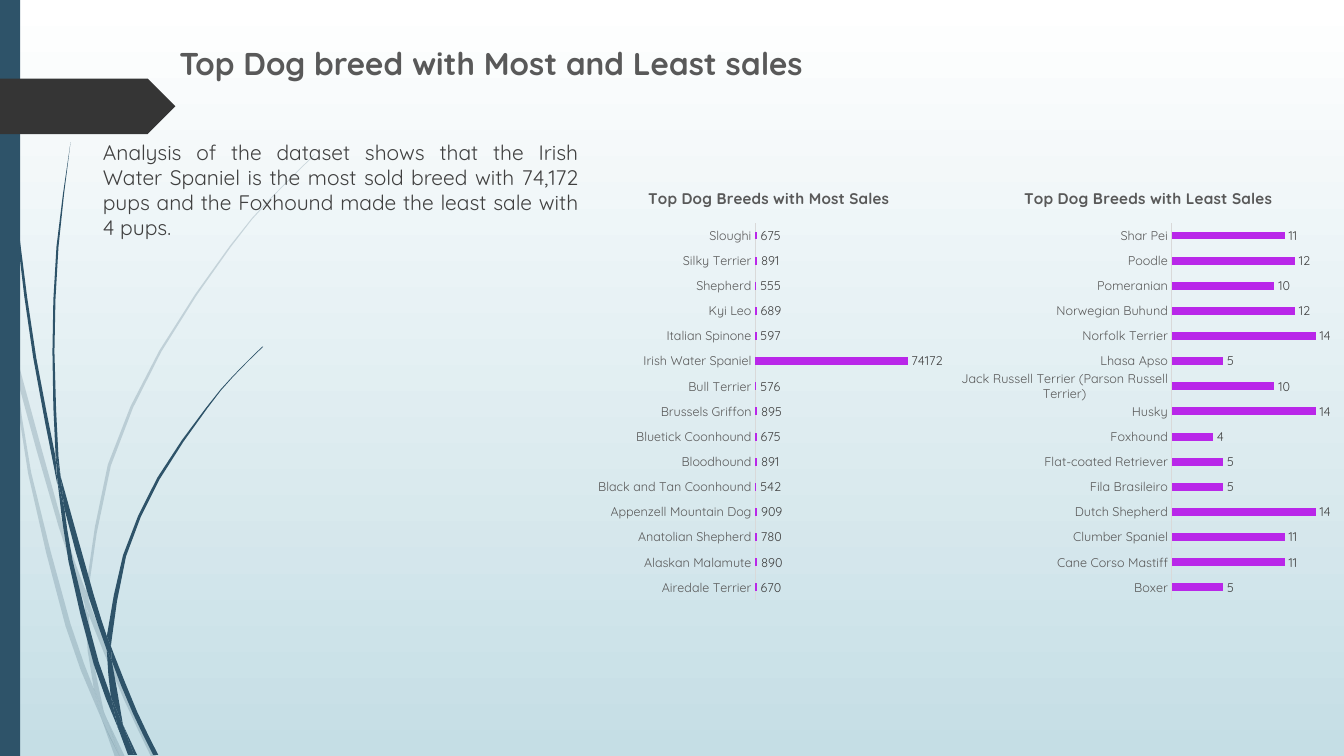
from math import dist

from lxml import etree
from pptx import Presentation
from pptx.chart.data import CategoryChartData
from pptx.dml.color import RGBColor
from pptx.enum.chart import XL_CHART_TYPE, XL_LABEL_POSITION, XL_TICK_MARK
from pptx.enum.shapes import MSO_SHAPE
from pptx.enum.text import MSO_ANCHOR, MSO_AUTO_SIZE, PP_ALIGN
from pptx.oxml.ns import qn
from pptx.util import Inches, Pt

BAR_CHART = XL_CHART_TYPE.BAR_CLUSTERED
OUTSIDE_END = XL_LABEL_POSITION.OUTSIDE_END
NO_TICK = XL_TICK_MARK.NONE
FONT = "Quicksand"
COLORS = {
    "sky_top": "FFFFFF", "sky_bottom": "C5DEE5", "grass": "2E5369",
    "tag": "353535", "heading": "595959", "text": "404040",
    "axis": "D9D9D9", "bar": "B927E9",
}
LONG = 0.4  # inches; longer edge segments are bent at their middle

# Each blade is a left and a right edge, both listed from the top down.
PALE_BLADES = [
    ([(0, 2.82), (0, 2.99), (0.1, 3.44), (0.11, 3.5)], [(0, 2.82), (0.09, 3.22), (0.11, 3.5)]),
    ([(0.14, 3.45), (0.17, 3.76), (0.58, 5.22), (0.84, 5.99)], [(0.14, 3.45), (0.62, 5.2), (0.85, 5.86)]),
    ([(0.88, 5.96), (0.88, 6.1), (1.23, 6.94), (1.5, 7.51)],
     [(0.88, 5.96), (0.92, 6.07), (1.27, 6.92), (1.55, 7.51)]),
    ([(1.05, 7.11), (1.19, 7.51)], [(1.05, 7.11), (1.24, 7.51)]),
    ([(0.11, 3.5), (0.28, 4.7), (0.65, 6.21), (0.92, 6.93), (1.01, 7.14)],
     [(0.11, 3.5), (0.17, 3.76), (0.31, 4.69), (0.7, 6.19), (0.93, 6.83), (1.01, 7.14)]),
    ([(0.84, 5.99), (0.87, 6.46), (0.93, 6.83), (1.05, 7.11)],
     [(0.84, 5.99), (0.88, 6.1), (0.91, 6.46), (1.03, 7.06), (1.05, 7.11)]),
    ([(3.12, 1.53), (2.68, 1.97), (2.28, 2.44), (1.58, 3.48), (1.07, 4.61), (0.85, 5.86)],
     [(3.12, 1.54), (2.68, 1.98), (2.29, 2.45), (1.6, 3.49), (1.1, 4.62), (0.88, 5.84), (0.88, 5.96)]),
    ([(1.01, 7.14), (1.14, 7.51)], [(1.01, 7.14), (1.19, 7.51)]),
    ([(0.85, 5.86), (0.84, 5.99), (0.88, 6.08)], [(0.85, 5.86), (0.88, 5.96), (0.88, 6.1)]),
    ([(0.93, 6.83), (1.01, 7.14), (1.19, 7.51)], [(0.93, 6.83), (1.05, 7.11), (1.19, 7.51)]),
]
DARK_BLADES = [
    ([(0.03, 0), (0.07, 1.1), (0.17, 2.33), (0.33, 3.55), (0.57, 4.81)],
     [(0.04, 0), (0.08, 1.09), (0.19, 2.32), (0.36, 3.55), (0.55, 4.53), (0.57, 4.81)]),
    ([(0.6, 4.72), (0.64, 5.05), (0.88, 5.92), (1.06, 6.45)], [(0.6, 4.72), (0.93, 5.9), (1.06, 6.31)]),
    ([(1.1, 6.41), (1.11, 6.56), (1.32, 7.08), (1.52, 7.49)],
     [(1.1, 6.41), (1.13, 6.49), (1.36, 7.06), (1.57, 7.49)]),
    ([(0.57, 4.77), (0.68, 5.57), (0.93, 6.59), (1.17, 7.22)],
     [(0.57, 4.77), (0.64, 5.05), (0.72, 5.56), (0.98, 6.57), (1.1, 6.91), (1.17, 7.22)]),
    ([(0.7, 1.41), (0.56, 2.45), (0.52, 3.49), (0.55, 4.49), (0.6, 4.72)],
     [(0.7, 1.41), (0.58, 2.45), (0.54, 3.49), (0.58, 4.53), (0.6, 4.72)]),
    ([(1.22, 7.19), (1.33, 7.49)], [(1.22, 7.19), (1.36, 7.49)]),
    ([(0.55, 4.49), (0.57, 4.77), (0.64, 5.05)], [(0.55, 4.49), (0.6, 4.72), (0.64, 5.05)]),
    ([(2.6, 3.44), (2.31, 3.73), (2.04, 4.05), (1.56, 4.74), (1.22, 5.51), (1.06, 6.31)],
     [(2.61, 3.44), (2.31, 3.74), (2.05, 4.06), (1.58, 4.76), (1.25, 5.52), (1.11, 6.33), (1.1, 6.41)]),
    ([(1.17, 7.22), (1.27, 7.49)], [(1.17, 7.22), (1.31, 7.49)]),
    ([(1.06, 6.45), (1.1, 6.91), (1.22, 7.19)], [(1.06, 6.45), (1.11, 6.56), (1.22, 7.19)]),
    ([(1.06, 6.31), (1.06, 6.45), (1.11, 6.56)], [(1.06, 6.31), (1.1, 6.41), (1.11, 6.56)]),
    ([(1.1, 6.91), (1.17, 7.22), (1.3, 7.49)], [(1.1, 6.91), (1.22, 7.19), (1.33, 7.49)]),
]

# Title, left, width, plot left and width as shares of the chart, axis maximum, sales
CHARTS = [
    ("Top Dog Breeds with Most Sales", 5.93, 3.42, 0.46, 0.48, 80000, {
        "Airedale Terrier": 670, "Alaskan Malamute": 890, "Anatolian Shepherd": 780,
        "Appenzell Mountain Dog": 909, "Black and Tan Coonhound": 542, "Bloodhound": 891,
        "Bluetick Coonhound": 675, "Brussels Griffon": 895, "Bull Terrier": 576,
        "Irish Water Spaniel": 74172, "Italian Spinone": 597, "Kyi Leo": 689,
        "Shepherd": 555, "Silky Terrier": 891, "Sloughi": 675}),
    ("Top Dog Breeds with Least Sales", 9.45, 3.88, 0.56, 0.42, 16, {
        "Boxer": 5, "Cane Corso Mastiff": 11, "Clumber Spaniel": 11, "Dutch Shepherd": 14,
        "Fila Brasileiro": 5, "Flat-coated Retriever": 5, "Foxhound": 4, "Husky": 14,
        "Jack Russell Terrier (Parson Russell Terrier)": 10, "Lhasa Apso": 5,
        "Norfolk Terrier": 14, "Norwegian Buhund": 12, "Pomeranian": 10, "Poodle": 12,
        "Shar Pei": 11}),
]


def smooth(points):
    """Add the middle of a Catmull-Rom curve to each long segment."""
    before = tuple(2 * p - q for p, q in zip(points[0], points[1]))
    after = tuple(2 * p - q for p, q in zip(points[-1], points[-2]))
    padded = [before, *points, after]
    curve = [points[0]]
    for a, b, c, d in zip(padded, padded[1:], padded[2:], padded[3:]):
        if len(points) > 2 and dist(b, c) > LONG:
            curve.append(tuple((9 * (q + r) - p - s) / 16 for p, q, r, s in zip(a, b, c, d)))
        curve.append(c)
    return curve


def write(frame, text, size, color, bold=False, align=PP_ALIGN.LEFT):
    frame.text = text
    paragraph = frame.paragraphs[0]
    paragraph.alignment = align
    font = paragraph.runs[0].font
    font.name, font.size, font.bold = FONT, Pt(size), bold
    font.color.rgb = RGBColor.from_string(COLORS[color])
    return paragraph


presentation = Presentation()
presentation.slide_width, presentation.slide_height = Inches(13.33), Inches(7.5)
slide = presentation.slides.add_slide(presentation.slide_layouts[1])
title, body = slide.placeholders

background = slide.background.fill
background.gradient()
background.gradient_angle = 270
for stop, color in zip(background.gradient_stops, ("sky_top", "sky_bottom")):
    stop.color.rgb = RGBColor.from_string(COLORS[color])

# Grass blades
for blades, opacity in ((PALE_BLADES, 20), (DARK_BLADES, 100)):
    group = slide.shapes.add_group_shape()
    for left_edge, right_edge in blades:
        corners = dict.fromkeys(smooth(left_edge) + smooth(right_edge)[::-1])
        outline = [(Inches(x), Inches(y)) for x, y in corners]
        builder = group.shapes.build_freeform(*outline[0])
        builder.add_line_segments(outline[1:], close=True)
        blade = builder.convert_to_shape()
        blade.shadow.inherit = False
        blade.line.fill.background()
        blade.fill.solid()
        blade.fill.fore_color.rgb = RGBColor.from_string(COLORS["grass"])
        if opacity < 100:
            tint = blade._element.spPr.find(qn("a:solidFill"))[0]
            etree.SubElement(tint, qn("a:alpha"), val=str(opacity * 1000))

# Side band and page tag
for preset, top, width, height, color in (
        (MSO_SHAPE.RECTANGLE, 0, 0.2, 7.5, "grass"),
        (MSO_SHAPE.PENTAGON, 0.78, 1.74, 0.55, "tag")):
    shape = slide.shapes.add_shape(preset, 0, Inches(top), Inches(width), Inches(height))
    shape.shadow.inherit = False
    shape.line.fill.background()
    shape.fill.solid()
    shape.fill.fore_color.rgb = RGBColor.from_string(COLORS[color])

# Title and body stand in front of the grass
for placeholder, box, anchor in (
        (title, (1.68, 0.4, 6.58, 0.45), MSO_ANCHOR.MIDDLE),
        (body, (0.92, 1.33, 4.92, 2.78), MSO_ANCHOR.TOP)):
    placeholder.left, placeholder.top, placeholder.width, placeholder.height = map(Inches, box)
    placeholder.text_frame.auto_size = MSO_AUTO_SIZE.NONE
    placeholder.text_frame.vertical_anchor = anchor
    placeholder._element.getparent().append(placeholder._element)
write(title.text_frame, "Top Dog breed with Most and Least sales", 22.5, "heading", bold=True)
summary = write(
    body.text_frame,
    "Analysis of the dataset shows that the Irish Water Spaniel is the most sold breed "
    "with 74,172 pups and the Foxhound made the least sale with 4 pups.",
    15, "text", align=PP_ALIGN.JUSTIFY)
summary.space_before, summary.line_spacing = Pt(10), 1.0
properties = summary._p.get_or_add_pPr()
properties.set("marL", "0")
properties.set("indent", "0")
etree.SubElement(properties, qn("a:buNone"))

for heading, left, width, plot_left, plot_width, maximum, sales in CHARTS:
    data = CategoryChartData()
    data.categories = list(sales)
    data.add_series("Series 1", list(sales.values()))
    chart = slide.shapes.add_chart(
        BAR_CHART, Inches(left), Inches(1.69), Inches(width), Inches(4.35), data).chart
    chart.has_legend = False
    chart.font.name, chart.font.size = FONT, Pt(10)
    write(chart.chart_title.text_frame, heading, 11, "heading", bold=True, align=PP_ALIGN.CENTER)
    chart.chart_title.include_in_layout = False

    plot = chart.plots[0]
    plot.gap_width, plot.vary_by_categories = 219, False
    fill = plot.series[0].format.fill
    fill.solid()
    fill.fore_color.rgb = RGBColor.from_string(COLORS["bar"])
    plot.has_data_labels = True
    plot.data_labels.show_value = True
    plot.data_labels.position = OUTSIDE_END

    breeds, values = chart.category_axis, chart.value_axis
    breeds.major_tick_mark = breeds.minor_tick_mark = NO_TICK
    breeds.format.line.color.rgb = RGBColor.from_string(COLORS["axis"])
    breeds.format.line.width = Pt(0.75)
    for labels, color in ((plot.data_labels, "text"), (breeds.tick_labels, "heading")):
        labels.font.name, labels.font.size = FONT, Pt(9)
        labels.font.color.rgb = RGBColor.from_string(COLORS[color])
    values.visible = values.has_major_gridlines = False
    values.minimum_scale, values.maximum_scale = 0, maximum

    plot_area = chart._chartSpace.xpath("c:chart/c:plotArea")[0]
    for old_layout in plot_area.findall(qn("c:layout")):
        plot_area.remove(old_layout)
    layout = etree.Element(qn("c:layout"))
    manual = etree.SubElement(layout, qn("c:manualLayout"))
    for tag, value in (("layoutTarget", "inner"), ("xMode", "edge"), ("yMode", "edge"),
                       ("x", plot_left), ("y", 0.12), ("w", plot_width), ("h", 0.86)):
        etree.SubElement(manual, qn(f"c:{tag}"), val=str(value))
    plot_area.insert(0, layout)

presentation.save("out.pptx")
